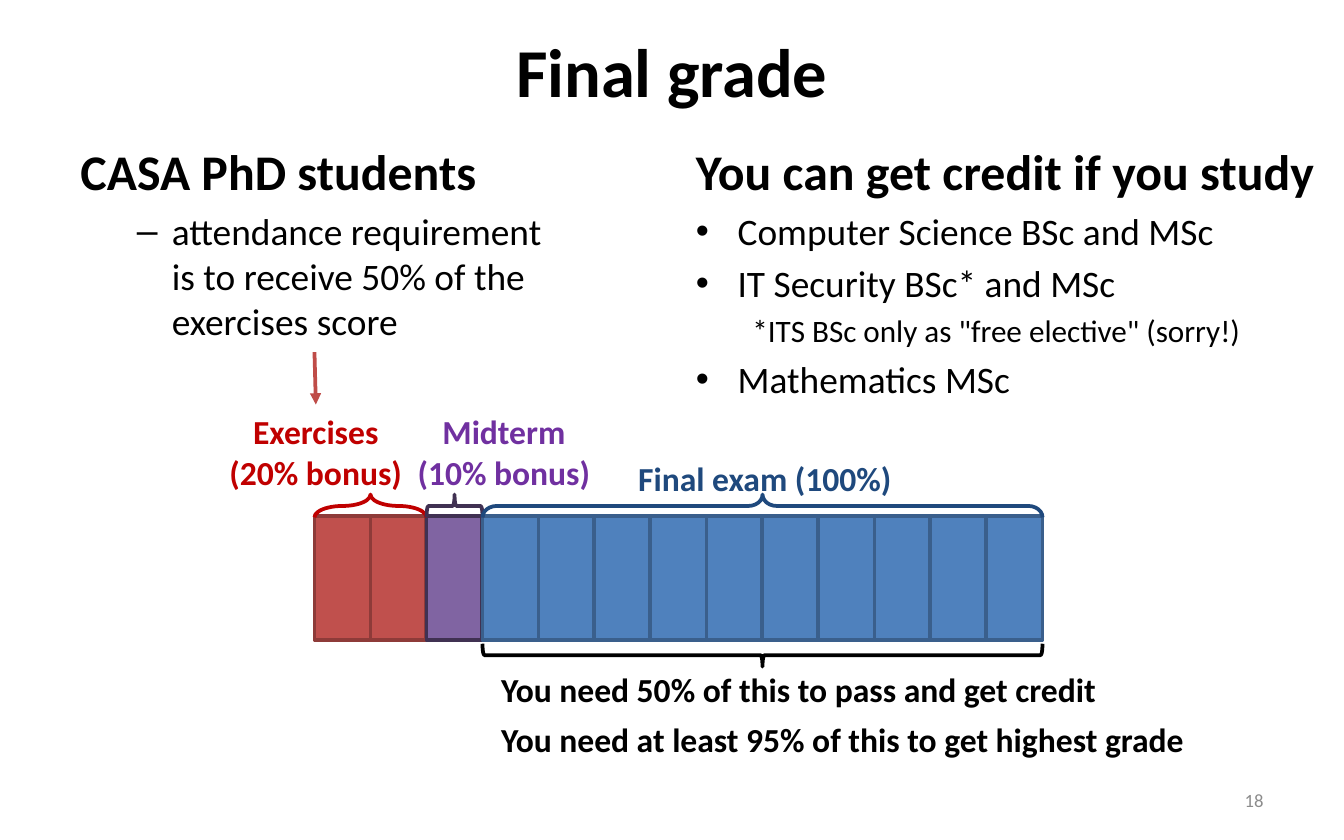
from lxml.etree import SubElement
from pptx import Presentation
from pptx.dml.color import RGBColor
from pptx.enum.shapes import MSO_CONNECTOR, MSO_SHAPE
from pptx.enum.text import MSO_ANCHOR, PP_ALIGN
from pptx.oxml.ns import qn
from pptx.util import Inches, Pt

FONT = "Calibri"
BLACK = "000000"
UNIT = 5 / 12  # width of one 10% block, in inches
BAR_HEIGHT = 0.92
BRACE_HEIGHT = 0.17


def color(hex_code):
    return RGBColor.from_string(hex_code)


def style(para, size, hex_code=BLACK, bold=False, align=PP_ALIGN.LEFT):
    para.alignment = align
    for run in para.runs:
        run.font.name = FONT
        run.font.size = Pt(size)
        run.font.bold = bold
        run.font.color.rgb = color(hex_code)


def add_text_box(page, left, top, width, height, wrap=True, anchor=MSO_ANCHOR.TOP):
    box = page.shapes.add_textbox(Inches(left), Inches(top), Inches(width), Inches(height))
    box.text_frame.word_wrap = wrap
    box.text_frame.vertical_anchor = anchor
    return box.text_frame


def add_label(page, left, top, width, height, text, size=18, hex_code=BLACK,
              bold=True, align=PP_ALIGN.LEFT, wrap=False, anchor=MSO_ANCHOR.TOP):
    frame = add_text_box(page, left, top, width, height, wrap, anchor)
    frame.text = text
    style(frame.paragraphs[0], size, hex_code, bold, align)


def indent(para, margin, first_line, bullet=None):
    properties = para._p.get_or_add_pPr()
    properties.set("marL", str(Inches(margin)))
    properties.set("indent", str(Inches(first_line)))
    if bullet:
        SubElement(properties, qn("a:buFont"), typeface="Arial")
        SubElement(properties, qn("a:buChar"), char=bullet)


def add_column(page, left, top, width, height, heading, items):
    """Heading over items of (text, size, margin, first-line indent, bullet)."""
    frame = add_text_box(page, left, top, width, height)
    frame.text = heading
    style(frame.paragraphs[0], 26.7, bold=True)
    for text, size, margin, first_line, bullet in items:
        para = frame.add_paragraph()
        para.text = text
        para.space_before = Pt(size * 0.2)
        indent(para, margin, first_line, bullet)
        style(para, size)


def add_blocks(page, left, top, count, fill, line):
    for index in range(count):
        block = page.shapes.add_shape(
            MSO_SHAPE.RECTANGLE, Inches(left + index * UNIT), Inches(top),
            Inches(UNIT), Inches(BAR_HEIGHT))
        block.shadow.inherit = False
        block.fill.solid()
        block.fill.fore_color.rgb = color(fill)
        block.line.color.rgb = color(line)
        block.line.width = Pt(2)


def add_brace(page, left, top, width, hex_code, rotation=90, curl=0.08):
    """Horizontal brace: a left brace turned about the centre of its box."""
    shift = (width - BRACE_HEIGHT) / 2
    brace = page.shapes.add_shape(
        MSO_SHAPE.LEFT_BRACE, Inches(left + shift), Inches(top - shift),
        Inches(BRACE_HEIGHT), Inches(width))
    brace.rotation = rotation
    brace.adjustments[0] = curl
    brace.shadow.inherit = False
    brace.fill.background()
    brace.line.color.rgb = color(hex_code)
    brace.line.width = Pt(2)


def add_arrow(page, start_x, start_y, end_x, end_y, hex_code):
    arrow = page.shapes.add_connector(
        MSO_CONNECTOR.STRAIGHT, Inches(start_x), Inches(start_y), Inches(end_x), Inches(end_y))
    arrow.line.color.rgb = color(hex_code)
    arrow.line.width = Pt(2)
    SubElement(arrow.line._get_or_add_ln(), qn("a:tailEnd"), type="triangle")
    SubElement(arrow._element.spPr, qn("a:effectLst"))


def add_grade_bar(page, left, top):
    """Bar of 10% blocks, with braces and labels around it."""
    midterm = left + 2 * UNIT
    exam = midterm + UNIT
    brace_top = top - 0.16

    add_label(page, left - 0.74, top - 0.83, 1.5, 0.71, "Exercises\v(20% bonus)",
              hex_code="C00000", align=PP_ALIGN.CENTER)
    add_label(page, left + 0.66, top - 0.83, 1.5, 0.71, "Midterm\v(10% bonus)",
              hex_code="7030A0", align=PP_ALIGN.CENTER)
    add_label(page, left + 2.31, top - 0.48, 2.1, 0.4, "Final exam (100%)", hex_code="1F497D")

    add_blocks(page, left, top, 2, "C0504D", "8E3B39")
    add_blocks(page, midterm, top, 1, "8064A2", "403152")
    add_blocks(page, exam, top, 10, "4F81BD", "3A5F8C")

    add_brace(page, left, brace_top, 2 * UNIT, "C00000", curl=1.32)
    add_brace(page, midterm, brace_top, UNIT, "403152")
    add_brace(page, exam, brace_top, 10 * UNIT, "1F497D", curl=0.62)
    add_brace(page, exam, top + BAR_HEIGHT + 0.03, 10 * UNIT, BLACK, rotation=270)

    add_label(page, left + 1.29, top + 1.09, 4.67, 0.4,
              "You need 50% of this to pass and get credit")
    add_label(page, left + 1.29, top + 1.46, 5.33, 0.4,
              "You need at least 95% of this to get highest grade")


def main():
    deck = Presentation()
    deck.slide_width = Inches(10)
    deck.slide_height = Inches(6.25)
    page = deck.slides.add_slide(deck.slide_layouts[6])

    add_label(page, 0.5, 0, 9, 1.04, "Final grade", 36.7, align=PP_ALIGN.CENTER,
              wrap=True, anchor=MSO_ANCHOR.MIDDLE)
    add_column(page, 0.5, 1, 4.42, 1.92, "CASA PhD students", [
        ("attendance requirement\vis to receive 50% of the exercises score",
         20, 0.68, -0.26, "–"),
    ])
    add_column(page, 5.08, 1, 4.81, 1.98, "You can get credit if you study", [
        ("Computer Science BSc and MSc", 20, 0.31, -0.31, "•"),
        ("IT Security BSc* and MSc", 20, 0.31, -0.31, "•"),
        ('*ITS BSc only as "free elective" (sorry!)', 16.7, 0.42, 0, None),
        ("Mathematics MSc", 20, 0.31, -0.31, "•"),
    ])
    add_arrow(page, 2.34, 2.62, 2.35, 3.01, "BF4C48")
    add_grade_bar(page, 2.34, 3.84)
    add_label(page, 7.17, 5.79, 2.33, 0.33, "18", 10, "8C8C8C", bold=False,
              align=PP_ALIGN.RIGHT, wrap=True, anchor=MSO_ANCHOR.MIDDLE)

    deck.save("out.pptx")


if __name__ == "__main__":
    main()
